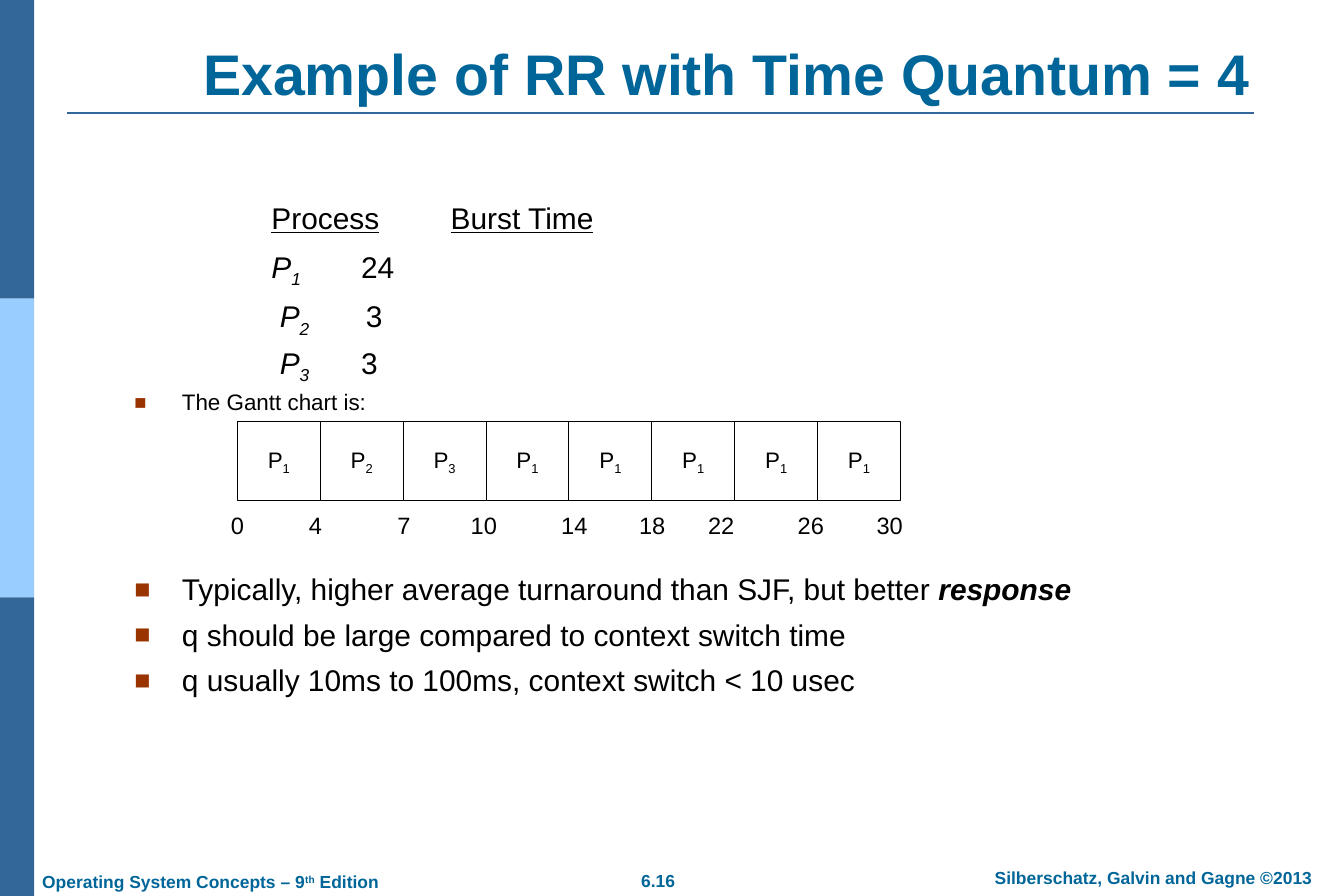
from dataclasses import dataclass

from lxml import etree
from pptx import Presentation
from pptx.dml.color import RGBColor
from pptx.enum.shapes import MSO_CONNECTOR as Connector, MSO_SHAPE as Shape
from pptx.enum.text import MSO_ANCHOR as Anchor, MSO_AUTO_SIZE as AutoSize, PP_ALIGN as Align
from pptx.oxml.ns import qn
from pptx.util import Pt


@dataclass(frozen=True)
class Theme:
    font: str = "Arial"
    heading: str = "006699"
    dark: str = "336699"
    light: str = "99CCFF"
    bullet: str = "993300"
    ink: str = "000000"
    paper: str = "FFFFFF"
    title_size: int = 46
    body_size: int = 24
    label_size: int = 19
    small_size: int = 18
    footer_size: int = 14


THEME = Theme()
PX = 9144
WIDTH, HEIGHT = 1500, 1000

TITLE = "Example of RR with Time Quantum = 4"
SUB, SUPER = -25, 30
ITALIC = {"italic": True}
ITALIC_SUB = {"italic": True, "baseline": SUB}
UNDERLINE = {"underline": True}

BODY = [
    {"text": [("\t\t", {}), ("Process", UNDERLINE), ("\t", {}), ("Burst Time", UNDERLINE)], "before": 0},
    {"text": [("\t\tP", ITALIC), ("1\t", ITALIC_SUB), ("24", {})], "before": 10.5},
    {"text": [("\t\t ", {}), ("P", ITALIC), ("2\t ", ITALIC_SUB), ("3", {})], "before": 10.5},
    {"text": [("\t\t ", {}), ("P", ITALIC), ("3\t", ITALIC_SUB), ("3", {})], "before": 7.9},
    {"text": "The Gantt chart is:", "before": 7.9, "bullet": True, "size": THEME.small_size},
    {"text": [("Typically, higher average turnaround than SJF, but better ", {}),
              ("response", {"bold": True, "italic": True})], "before": 128, "bullet": True},
    {"text": "q should be large compared to context switch time", "before": 10.5, "bullet": True},
    {"text": "q usually 10ms to 100ms, context switch < 10 usec", "before": 10.5, "bullet": True},
]

GANTT = ["1", "2", "3", "1", "1", "1", "1", "1"]
GANTT_LEFT, GANTT_TOP, GANTT_WIDTH, GANTT_HEIGHT = 265, 470, 740, 89
TIMES = [("0", 265), ("4", 352), ("7", 451), ("10", 540), ("14", 641),
         ("18", 728), ("22", 805), ("26", 905), ("30", 993)]

FOOTERS = [
    ("6.16", (665, 964, 139, 38), Align.CENTER),
    ("Silberschatz, Galvin and Gagne ©2013", (1065, 961, 445, 38), Align.CENTER),
    ([("Operating System Concepts – 9", {}), ("th", {"baseline": SUPER}), (" Edition", {})],
     (33, 965, 405, 38), Align.LEFT),
]
SIDEBAR = [THEME.dark, THEME.light, THEME.dark]
SIDEBAR_WIDTH = 38


def px(*lengths):
    return [round(length * PX) for length in lengths]


def color(code):
    return RGBColor.from_string(code)


def write(para, text, size=THEME.body_size, ink=THEME.ink, bold=False,
          align=Align.LEFT, before=0, spacing=None):
    para.alignment = align
    para.space_before = Pt(before)
    if spacing:
        para.line_spacing = spacing
    for words, style in [(text, {})] if isinstance(text, str) else text:
        span = para.add_run()
        span.text = words
        span.font.name = THEME.font
        span.font.size = Pt(size)
        span.font.color.rgb = color(ink)
        span.font.bold = style.get("bold", bold)
        span.font.italic = style.get("italic", False)
        span.font.underline = style.get("underline", False)
        if "baseline" in style:
            span.font._element.set("baseline", str(style["baseline"] * 1000))


def set_frame(frame, margins, anchor=Anchor.TOP, wrap=True):
    horizontal, vertical = px(*margins)
    frame.margin_left = frame.margin_right = horizontal
    frame.margin_top = frame.margin_bottom = vertical
    frame.vertical_anchor = anchor
    frame.auto_size = AutoSize.NONE
    frame.word_wrap = wrap


def set_list_format(para, bullet):
    props = para._p.get_or_add_pPr()
    indent = px(53)[0]
    props.set("marL", str(indent))
    props.set("indent", str(-indent))
    props.set("defTabSz", str(px(100)[0]))
    if not bullet:
        etree.SubElement(props, qn("a:buNone"))
        return
    tint = etree.SubElement(props, qn("a:buClr"))
    etree.SubElement(tint, qn("a:srgbClr"), val=THEME.bullet)
    etree.SubElement(props, qn("a:buSzPct"), val="90000")
    etree.SubElement(props, qn("a:buFont"), typeface=THEME.font)
    etree.SubElement(props, qn("a:buChar"), char="■")


def place(shape, *bounds):
    shape.left, shape.top, shape.width, shape.height = px(*bounds)


def add_box(page, bounds, fill, line=None):
    box = page.shapes.add_shape(Shape.RECTANGLE, *px(*bounds))
    box.shadow.inherit = False
    box.fill.solid()
    box.fill.fore_color.rgb = color(fill)
    if line:
        box.line.color.rgb = color(line)
        box.line.width = Pt(0.75)
    else:
        box.line.fill.background()
    return box


def add_label(page, bounds, text, margins, anchor=Anchor.TOP, **style):
    box = page.shapes.add_textbox(*px(*bounds))
    set_frame(box.text_frame, margins, anchor, wrap=False)
    write(box.text_frame.paragraphs[0], text, **style)


def add_background(page):
    band = HEIGHT / len(SIDEBAR)
    for index, fill in enumerate(SIDEBAR):
        add_box(page, (0, index * band, SIDEBAR_WIDTH, band), fill)
    rule = page.shapes.add_connector(Connector.STRAIGHT, *px(75, 126, 1400, 126))
    rule.line.color.rgb = color(THEME.dark)
    rule.line.width = Pt(1.5)
    etree.SubElement(rule._element.spPr, qn("a:effectLst"))
    for text, bounds, align in FOOTERS:
        add_label(page, bounds, text, (14, 7), align=align,
                  size=THEME.footer_size, ink=THEME.heading, bold=True)


def add_content(page):
    title, body = page.placeholders
    place(title, 150, 3, 1321, 123)
    set_frame(title.text_frame, (14, 7), Anchor.BOTTOM)
    write(title.text_frame.paragraphs[0], TITLE, size=THEME.title_size,
          ink=THEME.heading, bold=True, align=Align.CENTER)
    place(body, 136, 220, 1206, 654)
    frame = body.text_frame
    set_frame(frame, (14, 7))
    for index, entry in enumerate(BODY):
        style = dict(entry)
        para = frame.add_paragraph() if index else frame.paragraphs[0]
        set_list_format(para, style.pop("bullet", False))
        write(para, spacing=0.9, **style)


def add_gantt(page):
    step = GANTT_WIDTH / len(GANTT)
    for index, process in enumerate(GANTT):
        bounds = (GANTT_LEFT + index * step, GANTT_TOP, step, GANTT_HEIGHT)
        cell = add_box(page, bounds, THEME.paper, THEME.ink)
        set_frame(cell.text_frame, (10, 5), Anchor.MIDDLE, wrap=False)
        write(cell.text_frame.paragraphs[0], [("P", {}), (process, {"baseline": SUB})],
              size=THEME.small_size, align=Align.CENTER)
    for time, center in TIMES:
        add_label(page, (center - 25, 565, 50, 42), time, (10, 5), Anchor.MIDDLE,
                  size=THEME.label_size, align=Align.CENTER)


def main():
    deck = Presentation()
    deck.slide_width, deck.slide_height = px(WIDTH, HEIGHT)
    page = deck.slides.add_slide(deck.slide_layouts[1])
    add_background(page)
    add_content(page)
    add_gantt(page)
    deck.save("out.pptx")


if __name__ == "__main__":
    main()
